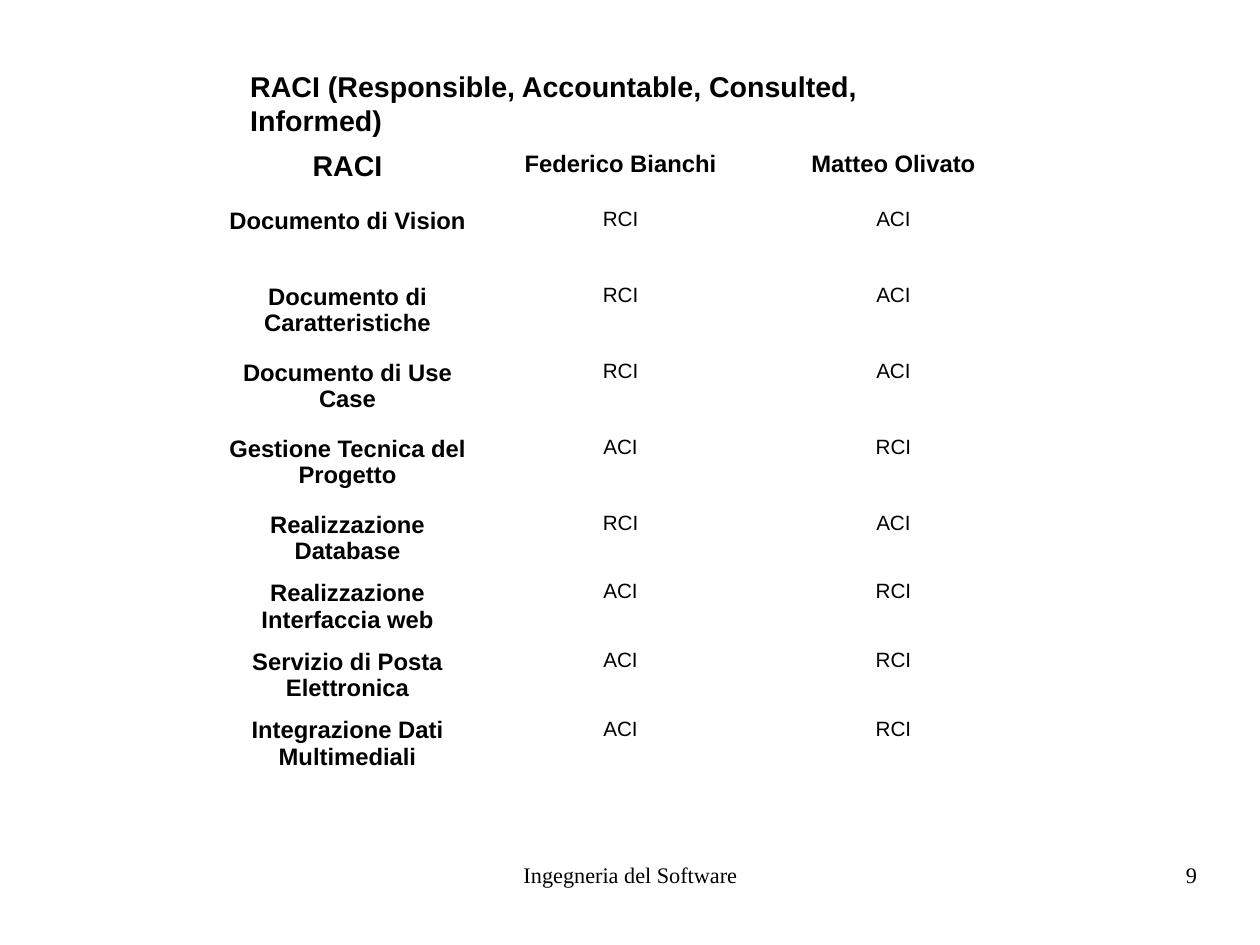
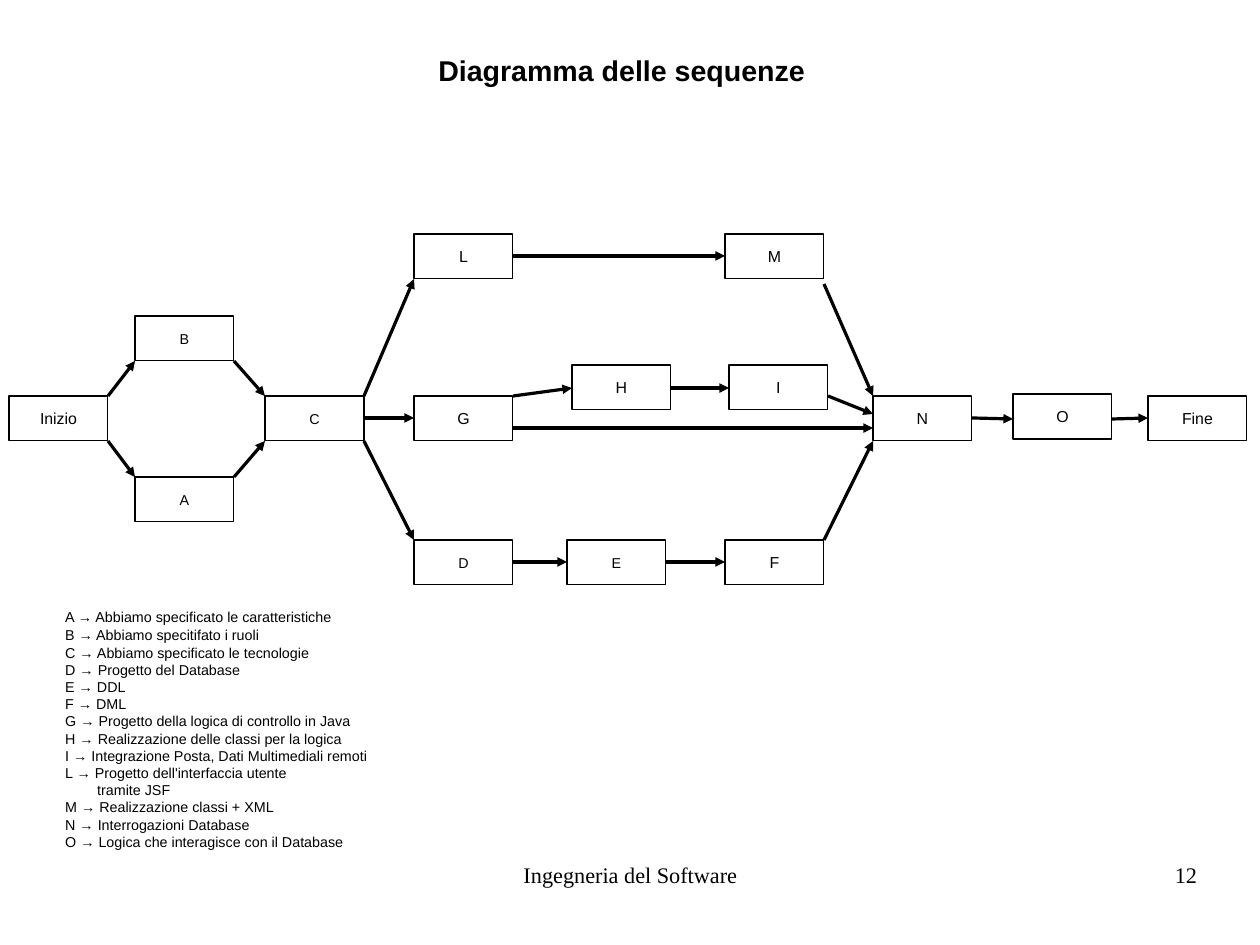
"""Build two project slides: a RACI matrix and a sequence diagram."""
from dataclasses import dataclass

from lxml import etree
from pptx import Presentation
from pptx.dml.color import RGBColor
from pptx.enum.shapes import MSO_CONNECTOR, MSO_SHAPE
from pptx.enum.text import MSO_ANCHOR, PP_ALIGN
from pptx.oxml.ns import qn
from pptx.util import Pt

PX = 8000
LEFT, CENTER, RIGHT = PP_ALIGN.LEFT, PP_ALIGN.CENTER, PP_ALIGN.RIGHT
MIDDLE = MSO_ANCHOR.MIDDLE
RECTANGLE, STRAIGHT = MSO_SHAPE.RECTANGLE, MSO_CONNECTOR.STRAIGHT


@dataclass(frozen=True)
class Theme:
    ink: RGBColor = RGBColor(0, 0, 0)
    paper: RGBColor = RGBColor(255, 255, 255)
    sans: str = "Arial"
    serif: str = "Times New Roman"
    title: int = 18
    heading: int = 15
    footer: int = 14
    code: int = 13
    node: int = 10
    small: int = 9


theme = Theme()


def write(frame, lines, size, align=LEFT, bold=False, font=theme.sans):
    """Fill a text frame with one paragraph per line."""
    frame.text = "\n".join(lines)
    for paragraph in frame.paragraphs:
        paragraph.alignment = align
        paragraph.font.name = font
        paragraph.font.size = Pt(size)
        paragraph.font.bold = bold
        paragraph.font.color.rgb = theme.ink


def add_text(slide, box, lines, size, wrap=True, inset=True, **style):
    """Add a text box given in pixels and return its frame."""
    frame = slide.shapes.add_textbox(*(PX * side for side in box)).text_frame
    frame.word_wrap = wrap
    if not inset:
        frame.margin_left = frame.margin_right = 0
        frame.margin_top = frame.margin_bottom = 0
    write(frame, lines, size, **style)
    return frame


deck = Presentation()
deck.slide_width, deck.slide_height = 1260 * PX, 945 * PX

pages = [
    ("RACI (Responsible, Accountable, Consulted, Informed)", (239, 63, 769, 43), "9"),
    ("Diagramma delle sequenze", (427, 47, 390, 43), "12"),
]
slides = []
for title, title_box, number in pages:
    slide = deck.slides.add_slide(deck.slide_layouts[6])
    add_text(slide, title_box, [title], theme.title, wrap=False, bold=True)
    for box, text, align in [((431, 861, 399, 65), "Ingegneria del Software", CENTER),
                             ((903, 861, 294, 65), number, RIGHT)]:
        add_text(slide, box, [text], theme.footer, inset=False, align=align, font=theme.serif)
    slides.append(slide)
raci_slide, sequence_slide = slides

raci_rows = [
    ("RACI", "Federico Bianchi", "Matteo Olivato"),
    ("Documento di Vision", "RCI", "ACI"),
    ("Documento di Caratteristiche", "RCI", "ACI"),
    ("Documento di Use Case", "RCI", "ACI"),
    ("Gestione Tecnica del Progetto", "ACI", "RCI"),
    ("Realizzazione Database", "RCI", "ACI"),
    ("Realizzazione Interfaccia web", "ACI", "RCI"),
    ("Servizio di Posta Elettronica", "ACI", "RCI"),
    ("Integrazione Dati Multimediali", "ACI", "RCI"),
]
row_heights = [57] + [76] * 4 + [68] * 4
matrix = raci_slide.shapes.add_table(
    len(raci_rows), 3, 211 * PX, 145 * PX, 819 * PX, sum(row_heights) * PX).table
matrix.first_row = matrix.horz_banding = False
for column in matrix.columns:
    column.width = 273 * PX
for r, (values, height) in enumerate(zip(raci_rows, row_heights)):
    matrix.rows[r].height = height * PX
    for c, value in enumerate(values):
        cell = matrix.cell(r, c)
        cell.fill.background()
        is_heading = r == 0 or c == 0
        size = theme.heading if is_heading else theme.code
        if r == c == 0:
            size = theme.title
        write(cell.text_frame, [value], size, align=CENTER, bold=is_heading)

NODE_W, NODE_H = 99, 45
nodes = {
    "Inizio": (9, 396), "B": (135, 316), "A": (135, 477), "C": (265, 396),
    "L": (414, 234), "G": (414, 396), "D": (414, 540), "H": (572, 365),
    "E": (567, 540), "M": (725, 234), "I": (729, 365), "F": (725, 540),
    "N": (873, 396), "O": (1013, 394), "Fine": (1148, 396),
}
small_nodes = "ABCDE"
TOP, MID, BOTTOM = 0, 0.5, 1
arrows = [
    ("Inizio", TOP, "B", BOTTOM), ("Inizio", BOTTOM, "A", TOP),
    ("A", TOP, "C", BOTTOM), ("B", BOTTOM, "C", TOP),
    ("C", TOP, "L", BOTTOM), ("C", BOTTOM, "D", TOP), ("C", MID, "G", MID),
    ("G", 0.7, "N", 0.7), ("L", MID, "M", MID), ("G", TOP, "H", MID),
    ("D", MID, "E", MID), ("E", MID, "F", MID), ("H", MID, "I", MID),
    ("M", 1.1, "N", TOP), ("F", TOP, "N", BOTTOM), ("I", 0.7, "N", 0.4),
    ("N", MID, "O", 0.55), ("O", 0.55, "Fine", MID),
]
for source, exit_at, target, entry_at in arrows:
    (x1, y1), (x2, y2) = nodes[source], nodes[target]
    arrow = sequence_slide.shapes.add_connector(
        STRAIGHT, (x1 + NODE_W) * PX, round(y1 + NODE_H * exit_at) * PX,
        x2 * PX, round(y2 + NODE_H * entry_at) * PX)
    arrow.line.color.rgb = theme.ink
    arrow.line.width = 0
    etree.SubElement(arrow.line._get_or_add_ln(), qn("a:tailEnd"), type="triangle")
    etree.SubElement(arrow._element.spPr, qn("a:effectLst"))

for label, (x, y) in nodes.items():
    node = sequence_slide.shapes.add_shape(RECTANGLE, x * PX, y * PX, NODE_W * PX, NODE_H * PX)
    node.shadow.inherit = False
    node.fill.solid()
    node.fill.fore_color.rgb = theme.paper
    node.line.color.rgb = theme.ink
    node.line.width = 0
    node.text_frame.word_wrap = False
    node.text_frame.vertical_anchor = MIDDLE
    size = theme.small if label in small_nodes else theme.node
    write(node.text_frame, [label], size, align=CENTER)

legend = [
    "B → Abbiamo specitifato i ruoli",
    "C → Abbiamo specificato le tecnologie",
    "D → Progetto del Database",
    "E → DDL",
    "F → DML",
    "G → Progetto della logica di controllo in Java",
    "H → Realizzazione delle classi per la logica",
    "I → Integrazione Posta, Dati Multimediali remoti",
    "L → Progetto dell'interfaccia utente",
    "tramite JSF",
    "M → Realizzazione classi + XML",
    "N → Interrogazioni Database",
    "O → Logica che interagisce con il Database",
]
add_text(sequence_slide, (54, 603, 290, 27),
         ["A → Abbiamo specificato le caratteristiche"], theme.small)
legend_frame = add_text(sequence_slide, (54, 621, 335, 219), legend, theme.small)
continuation = legend_frame.paragraphs[legend.index("tramite JSF")]
continuation._p.get_or_add_pPr().set("marL", str(32 * PX))

deck.save("out.pptx")
